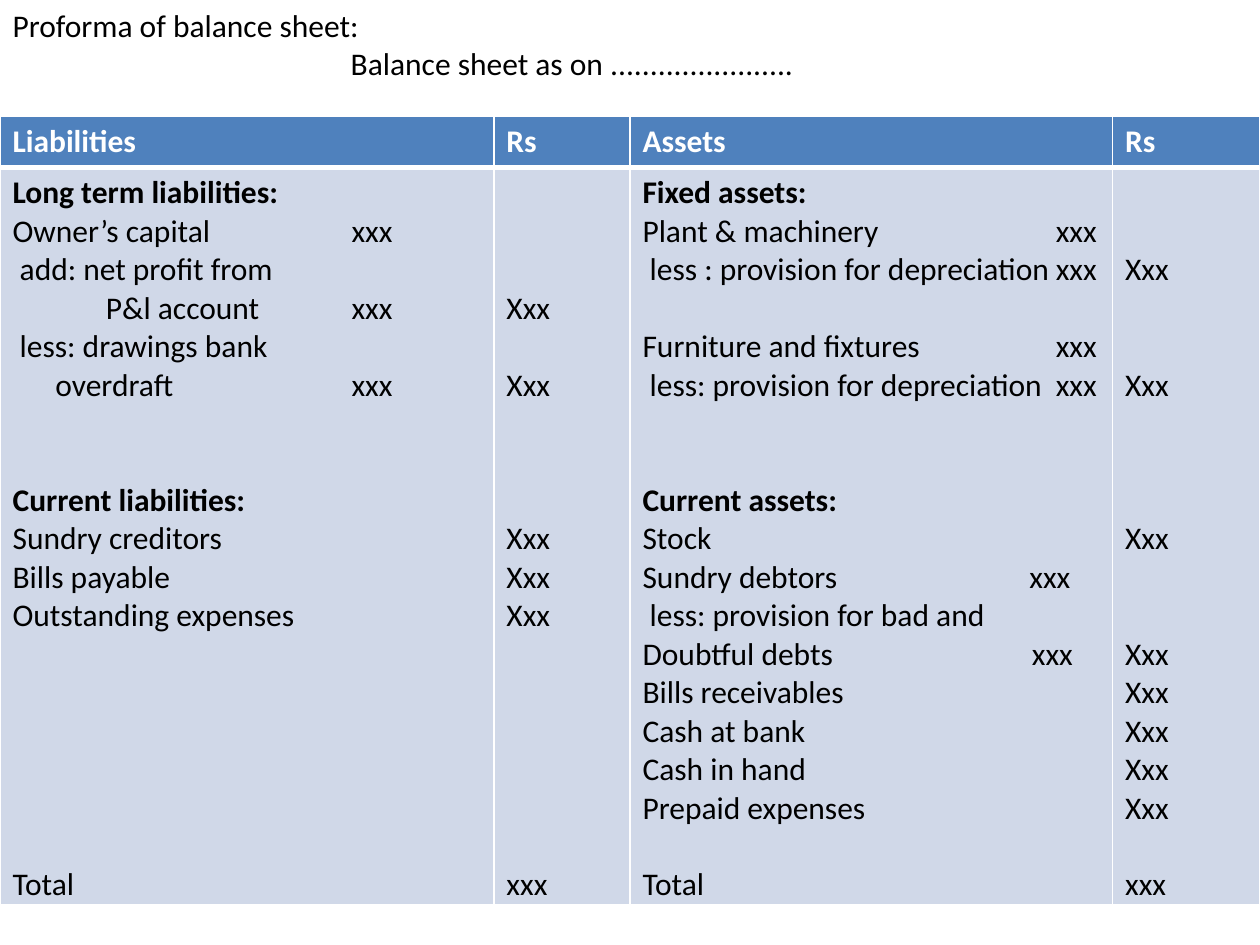
from lxml.etree import SubElement
from pptx import Presentation
from pptx.dml.color import RGBColor
from pptx.enum.text import MSO_ANCHOR, MSO_AUTO_SIZE, PP_ALIGN
from pptx.oxml.ns import qn
from pptx.util import Inches, Pt

COLORS = {"text": "000000", "white": "FFFFFF", "header": "4F81BD", "body": "D0D8E8"}
FONT_SIZE = 18
LINE_HEIGHT = 21.97  # points taken by one line of text
MARGIN = 0.05

HEADERS = ["Liabilities", "Rs", "Assets", "Rs"]
COLUMN_WIDTHS = [3.92, 1.08, 3.83, 1.17]
ROW_HEIGHTS = [0.41, 5.8]

# Each entry: line number, text, tab stops in inches
LIABILITIES = [
    (0, "Long term liabilities:", []),
    (1, "Owner’s capital\txxx", [2.69]),
    (2, " add: net profit from", []),
    (3, "\tP&l account\txxx", [0.74, 2.69]),
    (4, " less: drawings bank", []),
    (5, "\toverdraft\txxx", [0.34, 2.69]),
    (8, "Current liabilities:", []),
    (9, "Sundry creditors", []),
    (10, "Bills payable", []),
    (11, "Outstanding expenses", []),
    (18, "Total", []),
]
ASSETS = [
    (0, "Fixed assets:", []),
    (1, "Plant & machinery\txxx", [3.28]),
    (2, " less : provision for depreciation\txxx", [3.28]),
    (4, "Furniture and fixtures\txxx", [3.28]),
    (5, " less: provision for depreciation\txxx", [3.28]),
    (8, "Current assets:", []),
    (9, "Stock", []),
    (10, "Sundry debtors\txxx", [3.07]),
    (11, " less: provision for bad and", []),
    (12, "Doubtful debts\txxx", [3.09]),
    (13, "Bills receivables", []),
    (14, "Cash at bank", []),
    (15, "Cash in hand", []),
    (16, "Prepaid expenses", []),
    (18, "Total", []),
]


def amounts(lines):
    """Amounts on the given lines, with the total on the last one."""
    return [(line, "Xxx", []) for line in lines] + [(18, "xxx", [])]


def format_object(target, values):
    for name, value in values.items():
        setattr(target, name, value)


def add_text(paragraph, text, color="text", bold=False):
    run = paragraph.add_run()
    run.text = text
    format_object(run.font, {"name": "Calibri", "size": Pt(FONT_SIZE), "bold": bold})
    run.font.color.rgb = RGBColor.from_string(COLORS[color])


def next_paragraph(text_frame, index):
    return text_frame.add_paragraph() if index else text_frame.paragraphs[0]


def set_tab_stops(paragraph, stops):
    if stops:
        tab_list = SubElement(paragraph._p.get_or_add_pPr(), qn("a:tabLst"))
        for stop in stops:
            SubElement(tab_list, qn("a:tab"), pos=str(Inches(stop)), algn="l")


def style_cell(cell, color, bottom_width):
    properties = cell._tc.get_or_add_tcPr()
    for side, width in {"L": 1, "R": 1, "T": 1, "B": bottom_width}.items():
        line = SubElement(properties, qn(f"a:ln{side}"), w=str(Pt(width)))
        fill = SubElement(line, qn("a:solidFill"))
        SubElement(fill, qn("a:srgbClr"), val=COLORS["white"])
    cell.fill.solid()
    cell.fill.fore_color.rgb = RGBColor.from_string(COLORS[color])


def fill_body_cell(cell, entries):
    style_cell(cell, "body", 1)
    # Leading gap goes into the margin, later gaps into paragraph spacing
    first_line = entries[0][0]
    format_object(cell, {
        "margin_top": Inches(MARGIN) + Pt(first_line * LINE_HEIGHT),
        "margin_bottom": 0,
    })
    previous = first_line - 1
    for index, (line, text, stops) in enumerate(entries):
        paragraph = next_paragraph(cell.text_frame, index)
        if index and line - previous > 1:
            paragraph.space_before = Pt((line - previous - 1) * LINE_HEIGHT)
        set_tab_stops(paragraph, stops)
        add_text(paragraph, text, bold=text.endswith(":"))
        previous = line


def add_heading(slide):
    title = slide.shapes.title
    format_object(title, {"left": 0, "top": 0, "width": Inches(9.08), "height": Inches(0.71)})
    text_frame = title.text_frame
    format_object(text_frame, {
        "word_wrap": True, "auto_size": MSO_AUTO_SIZE.NONE, "vertical_anchor": MSO_ANCHOR.TOP,
        "margin_left": Inches(0.1), "margin_right": Inches(0.1),
        "margin_top": Inches(MARGIN), "margin_bottom": Inches(MARGIN),
    })
    lines = [("Proforma of balance sheet:", PP_ALIGN.LEFT),
             ("Balance sheet as on " + "." * 23, PP_ALIGN.CENTER)]
    for index, (text, alignment) in enumerate(lines):
        paragraph = next_paragraph(text_frame, index)
        paragraph.alignment = alignment
        add_text(paragraph, text)


def add_balance_sheet(slide):
    frame = slide.shapes.add_table(2, 4, 0, Inches(0.92), Inches(10), Inches(sum(ROW_HEIGHTS)))
    table = frame.table
    for column, width in zip(table.columns, COLUMN_WIDTHS):
        column.width = Inches(width)
    for row, height in zip(table.rows, ROW_HEIGHTS):
        row.height = Inches(height)

    body = [LIABILITIES, amounts([3, 5, 9, 10, 11]),
            ASSETS, amounts([2, 5, 9, 12, 13, 14, 15, 16])]
    for index, (header, entries) in enumerate(zip(HEADERS, body)):
        header_cell = table.cell(0, index)
        style_cell(header_cell, "header", 3)
        add_text(header_cell.text_frame.paragraphs[0], header, "white", True)
        fill_body_cell(table.cell(1, index), entries)


def main():
    presentation = Presentation()
    format_object(presentation, {"slide_width": Inches(10), "slide_height": Inches(7.5)})
    slide = presentation.slides.add_slide(presentation.slide_layouts[5])
    add_heading(slide)
    add_balance_sheet(slide)
    presentation.save("out.pptx")


main()
